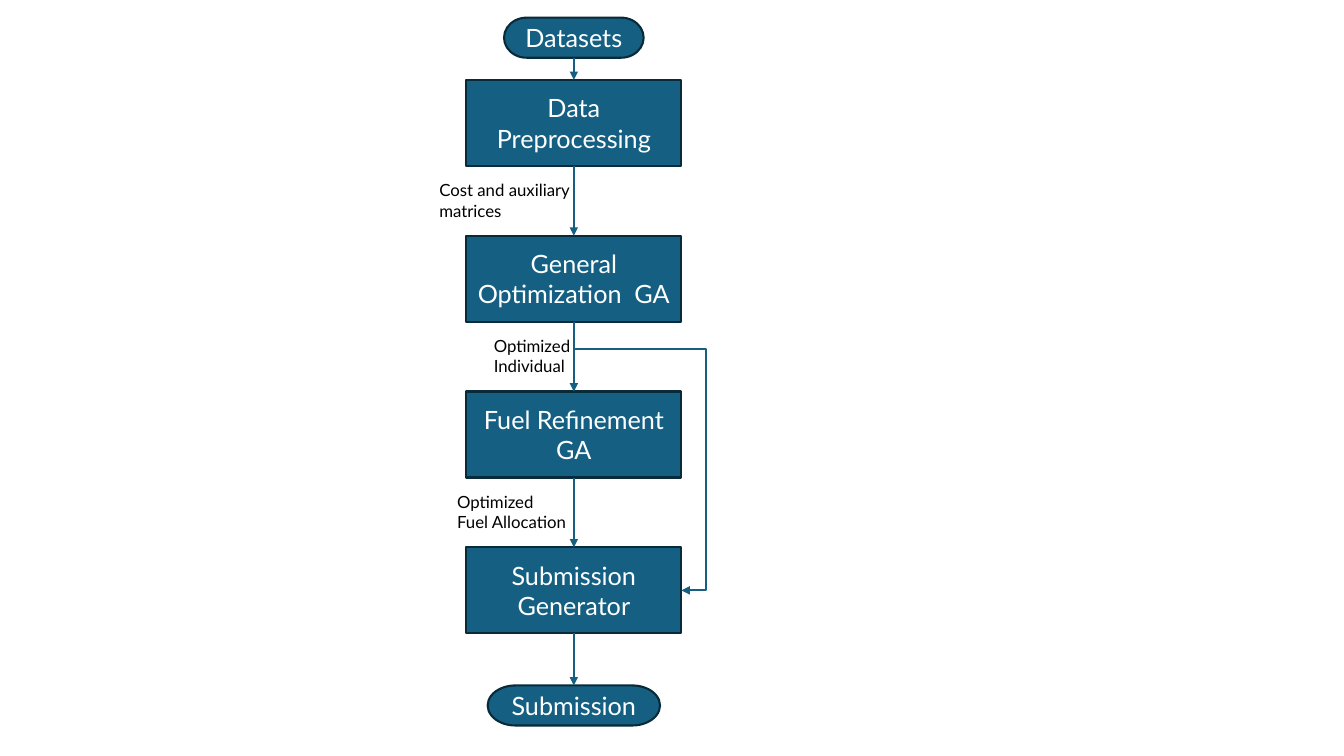
from lxml.etree import SubElement
from pptx import Presentation
from pptx.dml.color import RGBColor
from pptx.enum.shapes import MSO_CONNECTOR, MSO_SHAPE
from pptx.enum.text import MSO_ANCHOR, MSO_AUTO_SIZE, PP_ALIGN
from pptx.oxml.ns import qn
from pptx.util import Pt

BLUE = RGBColor(0x15, 0x60, 0x82)
NAVY = RGBColor(0x09, 0x2A, 0x39)
WHITE = RGBColor(0xFF, 0xFF, 0xFF)
BLACK = RGBColor(0x00, 0x00, 0x00)

BLANK_LAYOUT = 6
TOP, LEFT, BOTTOM, RIGHT = range(4)
CENTER_X = 409.9
STEP_WIDTH, STEP_HEIGHT = 153.6, 61.4
FIRST_STEP_TOP, STEP_PITCH = 57.1, 111.3
TERMINAL_HEIGHT = 28.6
LABEL_HEIGHT = 36.3
ELBOW_DROP, ELBOW_REACH = 19.6, 17.8

STEPS = [
    "Data Preprocessing",
    "General Optimization  GA",
    "Fuel Refinement GA",
    "Submission Generator",
]
LABELS = [
    ("Cost and auxiliary matrices", 306.7, 117.4),
    ("Optimized Individual", 345.6, 71.3),
    ("Optimized Fuel Allocation", 319.4, 92.2),
]


class Flowchart:
    font = "Lato"
    line_width = 1.5
    node_size = 18
    label_size = 12

    def __init__(self, slide):
        self.slide = slide

    def add_text(self, frame, text, size, color, alignment):
        frame.word_wrap = True
        paragraph = frame.paragraphs[0]
        paragraph.alignment = alignment
        run = paragraph.add_run()
        run.text = text
        run.font.name = self.font
        run.font.size = Pt(size)
        run.font.color.rgb = color

    def node(self, kind, text, top, width, height):
        shape = self.slide.shapes.add_shape(
            kind, Pt(CENTER_X - width / 2), Pt(top), Pt(width), Pt(height))
        shape.shadow.inherit = False
        shape.fill.solid()
        shape.fill.fore_color.rgb = BLUE
        shape.line.color.rgb = NAVY
        shape.line.width = Pt(self.line_width)
        shape.text_frame.vertical_anchor = MSO_ANCHOR.MIDDLE
        self.add_text(shape.text_frame, text, self.node_size, WHITE, PP_ALIGN.CENTER)
        return shape

    def step(self, text, top):
        return self.node(MSO_SHAPE.RECTANGLE, text, top, STEP_WIDTH, STEP_HEIGHT)

    def terminal(self, text, top, width):
        return self.node(MSO_SHAPE.FLOWCHART_TERMINATOR, text, top, width, TERMINAL_HEIGHT)

    def label(self, text, left, top, width):
        box = self.slide.shapes.add_textbox(Pt(left), Pt(top), Pt(width), Pt(LABEL_HEIGHT))
        self.add_text(box.text_frame, text, self.label_size, BLACK, PP_ALIGN.LEFT)
        box.text_frame.auto_size = MSO_AUTO_SIZE.SHAPE_TO_FIT_TEXT

    def arrow(self, source, target, target_side=TOP, kind=MSO_CONNECTOR.STRAIGHT):
        connector = self.slide.shapes.add_connector(kind, 0, 0, 0, 0)
        connector.begin_connect(source, BOTTOM)
        connector.end_connect(target, target_side)
        connector.line.color.rgb = BLUE
        connector.line.width = Pt(self.line_width)
        properties = connector._element.spPr
        SubElement(properties.find(qn("a:ln")), qn("a:tailEnd"), type="triangle")
        SubElement(properties, qn("a:effectLst"))
        return connector

    def bypass(self, source, target):
        connector = self.arrow(source, target, RIGHT, MSO_CONNECTOR.ELBOW)
        across, down = connector.width, connector.height
        connector.left += (across - down) // 2
        connector.top += (down - across) // 2
        connector.width, connector.height = down, across
        properties = connector._element.spPr
        transform = properties.find(qn("a:xfrm"))
        transform.set("rot", str(270 * 60000))
        transform.set("flipH", "1")
        geometry = properties.find(qn("a:prstGeom"))
        geometry.set("prst", "bentConnector4")
        adjustments = geometry.find(qn("a:avLst"))
        ratios = (Pt(ELBOW_DROP) / down, 1 + Pt(ELBOW_REACH) / across)
        for number, ratio in enumerate(ratios, 1):
            SubElement(adjustments, qn("a:gd"), name=f"adj{number}",
                       fmla=f"val {round(ratio * 100000)}")


def main():
    presentation = Presentation()
    presentation.slide_width = Pt(960)
    presentation.slide_height = Pt(540)
    slide = presentation.slides.add_slide(presentation.slide_layouts[BLANK_LAYOUT])
    chart = Flowchart(slide)

    datasets = chart.terminal("Datasets", 12.6, 99.7)
    steps = [chart.step(text, FIRST_STEP_TOP + index * STEP_PITCH)
             for index, text in enumerate(STEPS)]
    submission = chart.terminal("Submission", 489.6, 123.1)

    nodes = [datasets, *steps, submission]
    for source, target in zip(nodes, nodes[1:]):
        chart.arrow(source, target)
    chart.bypass(steps[1], steps[3])

    for index, (text, left, width) in enumerate(LABELS):
        chart.label(text, left, 125.1 + index * STEP_PITCH, width)

    presentation.save("out.pptx")


if __name__ == "__main__":
    main()
